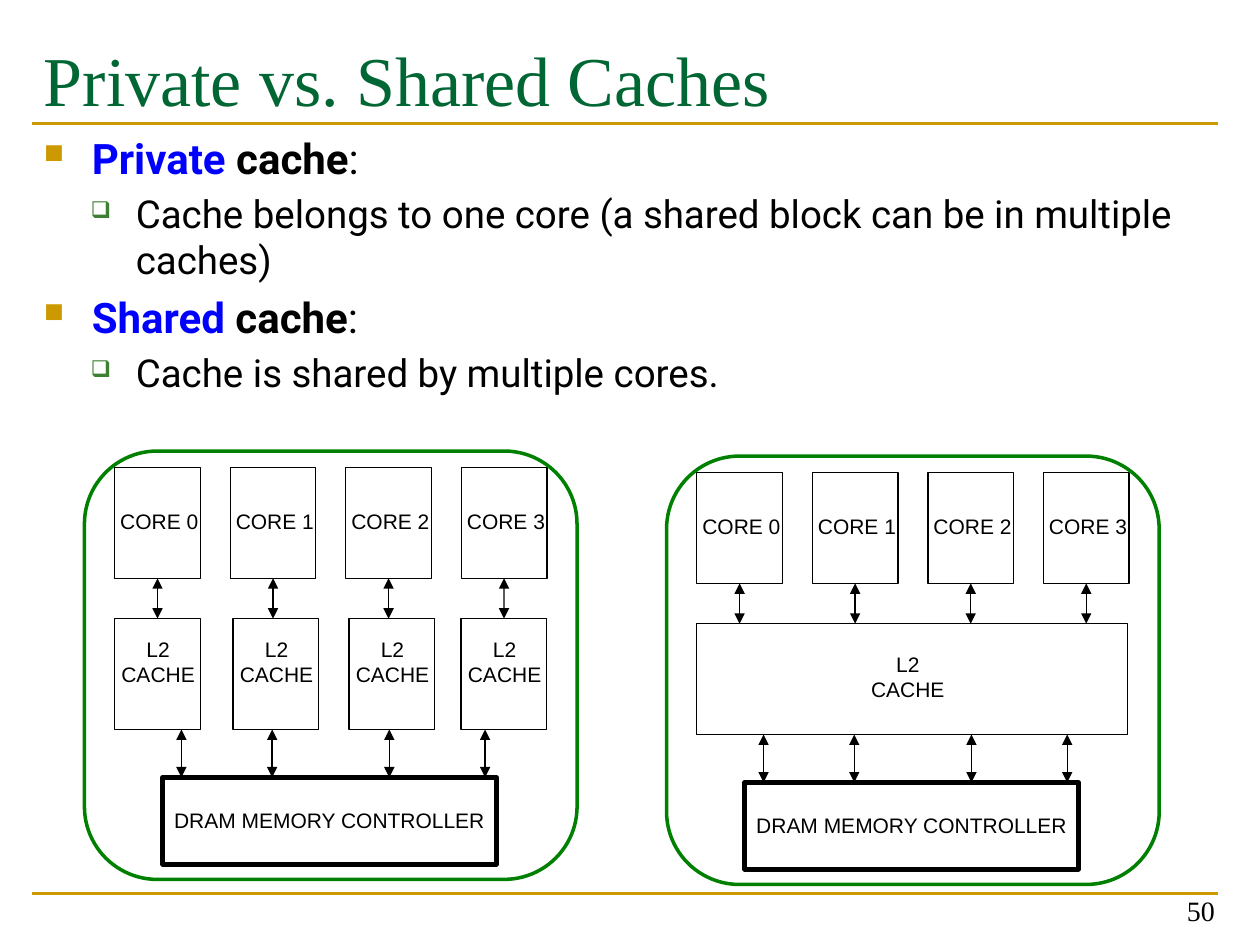
import pptx
import pptx.util
import pptx.dml.color
import pptx.enum.shapes
import pptx.enum.text
import pptx.oxml
import pptx.oxml.ns
from pptx.util import Inches

COLORS = {"gold": "CC9900", "title": "006633", "key": "0000FF", "text": "000000",
          "sub_bullet": "3B812F", "chip": "008000"}
ALIGN = pptx.enum.text.PP_ALIGN
ANCHOR = pptx.enum.text.MSO_ANCHOR
SHAPE = pptx.enum.shapes.MSO_SHAPE

CORE_W, BOX_H, CORE_PITCH = 0.68, 0.88, 0.917
CORE_X = [0.91 + CORE_PITCH * i for i in range(4)]
L2_X = [0.91, 1.85, 2.77, 3.66]
MEMORY_ARROW_X = [1.44, 2.16, 3.09, 3.85]


def rgb(name):
    return pptx.dml.color.RGBColor.from_string(COLORS[name])


def add_xml(parent, tag, **attrs):
    el = pptx.oxml.parse_xml(f"<a:{tag} {pptx.oxml.ns.nsdecls('a')}/>")
    for key, value in attrs.items():
        el.set(key, value)
    parent.append(el)
    return el


class Deck:
    def __init__(self, slide):
        self.slide = slide

    def run(self, p, text, size, font="Arial", color="text", bold=False):
        r = p.add_run()
        r.text = text
        r.font.size = pptx.util.Pt(size)
        r.font.name = font
        r.font.bold = bold
        r.font.color.rgb = rgb(color)

    def text_frame(self, x, y, w, h, wrap=True, anchor=ANCHOR.TOP):
        tf = self.slide.shapes.add_textbox(
            Inches(x), Inches(y), Inches(w), Inches(h)).text_frame
        tf.word_wrap = wrap
        tf.vertical_anchor = anchor
        return tf

    def label(self, x, y, w, lines):
        tf = self.text_frame(x, y, w, 0.1 + 0.2 * len(lines), wrap=False)
        for i, line in enumerate(lines):
            p = tf.add_paragraph() if i else tf.paragraphs[0]
            p.alignment = ALIGN.CENTER
            self.run(p, line, 12)

    def bullet(self, tf, level, runs):
        """Add a bulleted paragraph; each run is (text, color, bold)."""
        first = not tf.paragraphs[0].runs
        p = tf.paragraphs[0] if first else tf.add_paragraph()
        char, color, percent, left, hang, size = (
            ("■", "gold", "65000", 0.38, 0.38, 24),
            ("❑", "sub_bullet", "60000", 0.73, 0.36, 22))[level]
        p.level = level
        p.space_before = pptx.util.Pt(0 if first else 0.2 * size)
        pPr = p._p.get_or_add_pPr()
        pPr.set("marL", str(Inches(left)))
        pPr.set("indent", str(-Inches(hang)))
        add_xml(add_xml(pPr, "buClr"), "srgbClr", val=COLORS[color])
        add_xml(pPr, "buSzPct", val=percent)
        add_xml(pPr, "buChar", char=char)
        for text, run_color, bold in runs:
            self.run(p, text, size, "Roboto", run_color, bold)

    def box(self, x, y, w, h, kind=SHAPE.RECTANGLE, color="text", weight=0.75):
        sp = self.slide.shapes.add_shape(
            kind, Inches(x), Inches(y), Inches(w), Inches(h))
        sp.shadow.inherit = False
        sp.fill.background()
        sp.line.color.rgb = rgb(color)
        sp.line.width = pptx.util.Pt(weight)
        return sp

    def line(self, x1, y1, x2, y2, color="text", weight=0.75):
        cx = self.slide.shapes.add_connector(
            pptx.enum.shapes.MSO_CONNECTOR.STRAIGHT,
            Inches(x1), Inches(y1), Inches(x2), Inches(y2))
        cx.line.color.rgb = rgb(color)
        cx.line.width = pptx.util.Pt(weight)
        add_xml(cx._element.spPr, "effectLst")
        return cx

    def double_arrow(self, x, upper, lower):
        """Link two boxes vertically at x, joined where x is a side's middle."""
        cx = self.line(x, (upper.top + upper.height) / Inches(1),
                       x, lower.top / Inches(1))
        ln = cx.line._get_or_add_ln()
        add_xml(ln, "headEnd", type="triangle")
        add_xml(ln, "tailEnd", type="triangle")
        for sp, join, site in ((upper, cx.begin_connect, 2), (lower, cx.end_connect, 0)):
            if abs(sp.left + sp.width / 2 - Inches(x)) < Inches(0.01):
                join(sp, site)

    def chip(self, dx, dy, shared):
        """Draw a four-core chip, offset by (dx, dy), with its caches."""
        cores = []
        for i, x in enumerate(CORE_X):
            cores.append(self.box(dx + x, dy + 3.71, CORE_W, BOX_H))
            self.label(dx + x - 0.06, dy + 3.99, 0.83, [f"CORE {i}"])

        if shared:
            caches = [self.box(dx + 0.91, dy + 4.91, 3.42, BOX_H)] * 4
            self.label(dx + 2.19, dy + 5.08, 0.79, ["L2", "CACHE"])
        else:
            caches = []
            for x in L2_X:
                caches.append(self.box(dx + x, dy + 4.91, CORE_W, BOX_H))
                self.label(dx + x - 0.05, dy + 5, 0.79, ["L2", "CACHE"])

        memory = self.box(dx + 1.29, dy + 6.17, 2.65, 0.69, weight=2.5)
        self.label(dx + 1.27, dy + 6.36, 2.69, ["DRAM MEMORY CONTROLLER"])
        for core_x, memory_x, core, cache in zip(CORE_X, MEMORY_ARROW_X, cores, caches):
            self.double_arrow(dx + core_x + CORE_W / 2, core, cache)
            self.double_arrow(dx + memory_x, cache, memory)
        outline = self.box(dx + 0.67, dy + 3.58, 3.91, 3.4,
                           SHAPE.ROUNDED_RECTANGLE, "chip", 2)
        outline.adjustments[0] = 0.17


def main():
    prs = pptx.Presentation()
    prs.slide_width, prs.slide_height = Inches(10), Inches(7.5)
    deck = Deck(prs.slides.add_slide(prs.slide_layouts[6]))

    for y in (7.09, 0.98):
        deck.line(0.25, y, 9.67, y, "gold", 1.5)

    title = deck.text_frame(0.25, 0.17, 9.42, 1.17)
    title.margin_top = Inches(0.12)
    deck.run(title.paragraphs[0], "Private vs. Shared Caches", 40,
             "Times New Roman", "title")

    body = deck.text_frame(0.25, 1, 9.42, 5.77)
    for kind, detail in (
            ("Private", "Cache belongs to one core (a shared block can be in multiple caches)"),
            ("Shared", "Cache is shared by multiple cores.")):
        deck.bullet(body, 0, [(kind, "key", True), (" cache", "text", True),
                              (":", "text", False)])
        deck.bullet(body, 1, [(detail, "text", False)])

    number = deck.text_frame(7.41, 6.91, 2.33, 0.5, anchor=ANCHOR.BOTTOM)
    number.paragraphs[0].alignment = ALIGN.RIGHT
    deck.run(number.paragraphs[0], "50", 16, "Times New Roman")

    deck.chip(0, 0, shared=False)
    deck.chip(4.62, 0.04, shared=True)
    prs.save("out.pptx")


if __name__ == "__main__":
    main()
